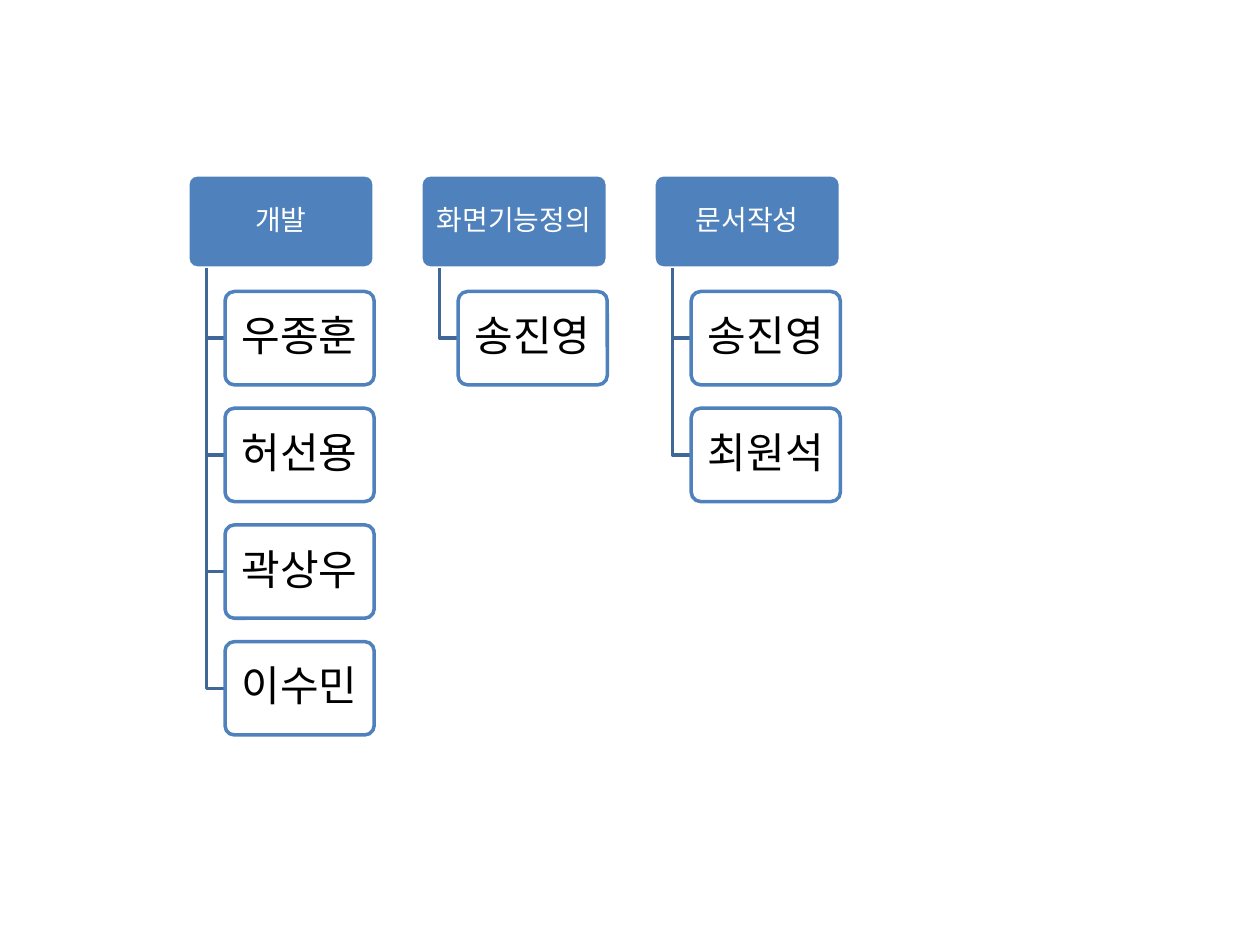
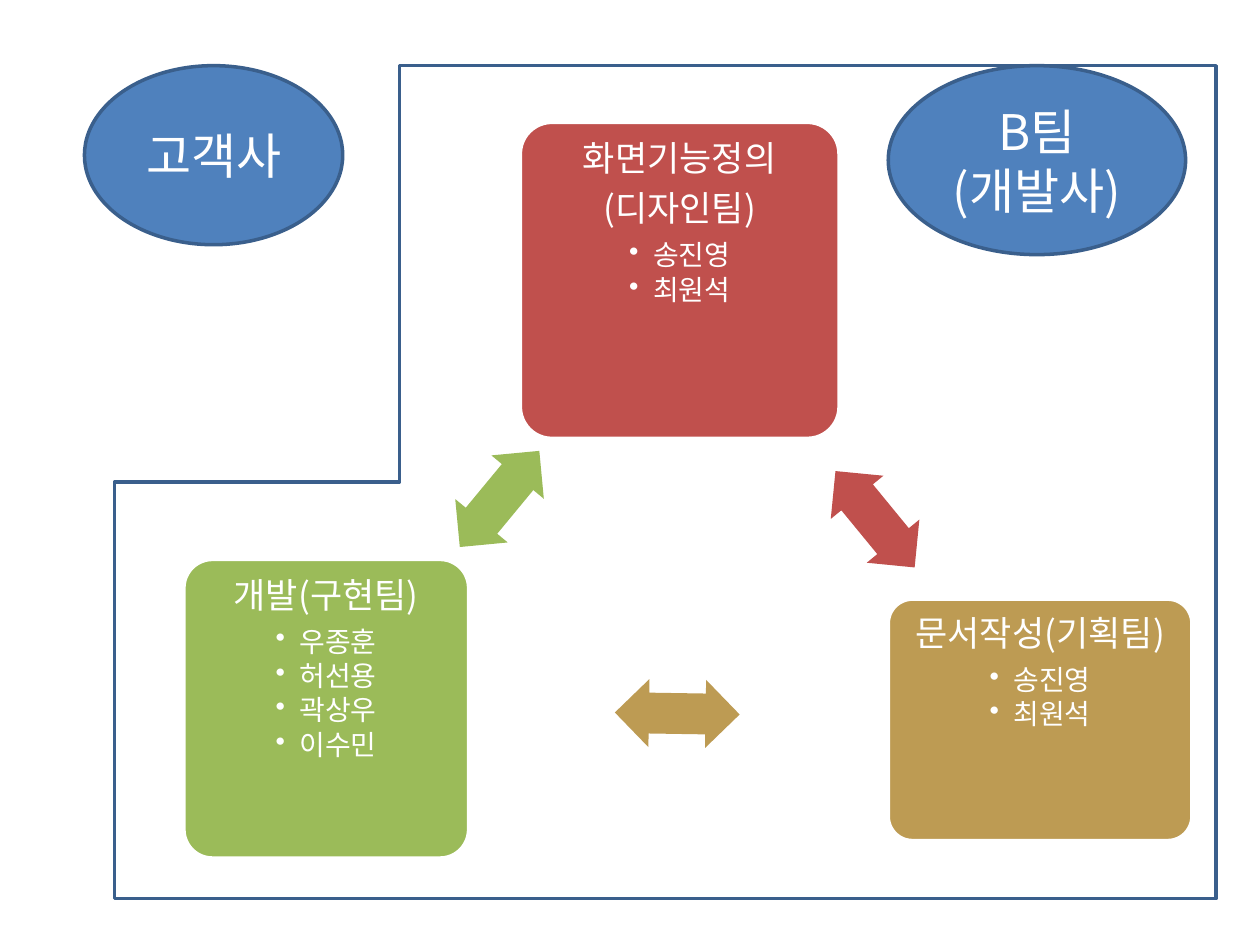
"""Build a team chart slide and a team collaboration slide."""
from dataclasses import dataclass

from lxml import etree
from pptx import Presentation
from pptx import util as u
from pptx.dml.color import RGBColor
from pptx.enum import shapes, text
from pptx.oxml.ns import qn

FONT = "Noto Sans CJK KR"
COLORS = {
    "white": "FFFFFF", "black": "000000", "blue": "4F81BD", "navy": "3A5F8C",
    "steel": "3F6797", "red": "C0504D", "gold": "BD9B53", "green": "9BBB59",
}
SHAPE = shapes.MSO_SHAPE
WIDTH, HEIGHT = u.Inches(10), u.Inches(7.5)
TREE_LEFT, TREE_TOP = 0.149 * WIDTH, 0.185 * HEIGHT
TREE_COL, TREE_ROW = 0.185 * WIDTH, 0.1235 * HEIGHT
HEADER_SHARE, MEMBER_SHARE, ROW_SHARE = 0.8, 0.64, 0.8
INDENT_SHARE = 0.16
MARGINS = ("margin_left", "margin_top", "margin_right", "margin_bottom")


@dataclass
class Box:
    left: float
    top: float
    width: float
    height: float


@dataclass
class Para:
    text: str
    size: int
    color: str = "white"
    after: float = 0.35
    spacing: float = 0.9
    bullet: bool = False


@dataclass
class Branch:
    title: str
    members: tuple[str, ...]


@dataclass
class Team:
    titles: tuple[str, ...]
    members: tuple[str, ...]
    color: str
    box: Box


@dataclass
class Arrow:
    left: float
    top: float
    turn: float
    color: str


@dataclass
class Party:
    lines: tuple[str, ...]
    box: Box


BRANCHES = (
    Branch("개발", ("우종훈", "허선용", "곽상우", "이수민")),
    Branch("화면기능정의", ("송진영",)),
    Branch("문서작성", ("송진영", "최원석")),
)
TEAMS = (
    Team(("화면기능정의", "(디자인팀)"), ("송진영", "최원석"), "red",
         Box(41.3, 12.95, 25.3, 33.45)),
    Team(("문서작성(기획팀)",), ("송진영", "최원석"), "gold",
         Box(70.5, 63.4, 24.1, 25.55)),
    Team(("개발(구현팀)",), ("우종훈", "허선용", "곽상우", "이수민"), "green",
         Box(14.6, 59.2, 22.6, 31.6)),
)
ARROWS = (
    Arrow(64.5, 51.35, 50.6, "red"),
    Arrow(48.8, 71.9, 180.9, "gold"),
    Arrow(34.7, 49.2, 309.6, "green"),
)
CLIENT = Party(("고객사",), Box(6.7, 6.95, 20.5, 18.95))
DEVELOPER = Party(("B팀", "(개발사)"), Box(70.5, 6.95, 23.6, 20))
FRAME = Box(9.1, 6.95, 87.4, 88.15)


def rgb(name: str) -> RGBColor:
    """Return a palette colour."""
    return RGBColor.from_string(COLORS[name])


def percent(box: Box) -> Box:
    """Turn columns and rows of a 100 by 100 grid into slide lengths."""
    col, row = WIDTH / 100, HEIGHT / 100
    return Box(box.left * col, box.top * row, box.width * col, box.height * row)


def paint(s, fill: str | None, line: str | None) -> None:
    """Set fill and outline, and remove the shadow."""
    s.shadow.inherit = False
    if fill:
        s.fill.solid()
        s.fill.fore_color.rgb = rgb(fill)
    else:
        s.fill.background()
    if line:
        s.line.color.rgb = rgb(line)
        s.line.width = u.Pt(2)
    else:
        s.line.fill.background()


def add_shape(slide, kind, box: Box, fill: str | None = None,
              line: str | None = None, adj: tuple[float, ...] = ()):
    """Add a painted preset shape."""
    lengths = (box.left, box.top, box.width, box.height)
    s = slide.shapes.add_shape(kind, *(round(v) for v in lengths))
    paint(s, fill, line)
    for i, value in enumerate(adj):
        s.adjustments[i] = value
    return s


def write(s, paras: list[Para], anchor=text.MSO_ANCHOR.MIDDLE,
          insets: tuple[float, ...] = (0.1, 0.05)) -> None:
    """Write centred paragraphs into a shape."""
    tf = s.text_frame
    frame = {"word_wrap": True, "vertical_anchor": anchor}
    frame |= {m: u.Inches(insets[i % 2]) for i, m in enumerate(MARGINS)}
    for name, value in frame.items():
        setattr(tf, name, value)
    for i, para in enumerate(paras):
        p = tf.add_paragraph() if i else tf.paragraphs[0]
        layout = {"alignment": text.PP_ALIGN.CENTER, "level": int(para.bullet),
                  "line_spacing": para.spacing,
                  "space_after": u.Pt(para.after * para.size)}
        for name, value in layout.items():
            setattr(p, name, value)
        if para.bullet:
            ppr = p._p.get_or_add_pPr()
            ppr.set("marL", str(u.Inches(0.19)))
            ppr.set("indent", str(-u.Inches(0.19)))
            etree.SubElement(ppr, qn("a:buChar"), char="•")
        r = p.add_run()
        r.text = para.text
        r.font.color.rgb = rgb(para.color)
        for name, value in {"size": u.Pt(para.size), "name": FONT}.items():
            setattr(r.font, name, value)
        etree.SubElement(r._r.get_or_add_rPr(), qn("a:ea"), typeface=FONT)


def add_elbow(slide, x: float, top: float, bottom: float, right: float) -> None:
    """Draw the bent line from a header to a member."""
    builder = slide.shapes.build_freeform(round(x), round(top))
    builder.add_line_segments(
        [(round(x), round(bottom)), (round(right), round(bottom))], close=False)
    paint(builder.convert_to_shape(), None, "steel")


def add_branch(slide, col: int, branch: Branch) -> None:
    """Draw a header with its members below."""
    left, height = TREE_LEFT + col * TREE_COL, ROW_SHARE * TREE_ROW
    header = Box(left, TREE_TOP, HEADER_SHARE * TREE_COL, height)
    indent = INDENT_SHARE * TREE_COL
    s = add_shape(slide, SHAPE.ROUNDED_RECTANGLE, header, "blue", "white", (0.1,))
    write(s, [Para(branch.title, 16)], insets=(0.03, 0.02))
    for row, name in enumerate(branch.members, 1):
        box = Box(left + indent, TREE_TOP + row * TREE_ROW,
                  MEMBER_SHARE * TREE_COL, height)
        add_elbow(slide, left + indent / 2, TREE_TOP + height,
                  box.top + height / 2, box.left)
        s = add_shape(slide, SHAPE.ROUNDED_RECTANGLE, box, "white", "blue", (0.1,))
        write(s, [Para(name, 24, "black")], insets=(0.05, 0.03))


def add_team(slide, team: Team) -> None:
    """Draw a team card with its bulleted members."""
    s = add_shape(slide, SHAPE.ROUNDED_RECTANGLE, percent(team.box),
                  team.color, "white", (0.1,))
    paras = [Para(title, 20) for title in team.titles]
    paras += [Para(name, 16, after=0.15, bullet=True) for name in team.members]
    write(s, paras, text.MSO_ANCHOR.TOP, (0.08, 0.08))


def add_arrow(slide, arrow: Arrow) -> None:
    """Draw a turned double arrow between teams."""
    box = percent(Box(arrow.left, arrow.top, 9.9, 7.2))
    s = add_shape(slide, SHAPE.LEFT_RIGHT_ARROW, box, arrow.color, adj=(0.6, 0.5))
    s.rotation = arrow.turn


def add_party(slide, party: Party) -> None:
    """Draw a company ellipse."""
    s = add_shape(slide, SHAPE.OVAL, percent(party.box), "blue", "navy")
    write(s, [Para(line, 28, after=0, spacing=1.0) for line in party.lines])


def add_frame(slide) -> None:
    """Draw the mirrored corner outline around the developer."""
    s = add_shape(slide, SHAPE.CORNER, percent(FRAME), None, "navy", (0.5, 0.98))
    s._element.spPr.find(qn("a:xfrm")).set("flipH", "1")


def main() -> None:
    """Build and save both slides."""
    prs = Presentation()
    prs.slide_width, prs.slide_height = WIDTH, HEIGHT
    tree, teamwork = (prs.slides.add_slide(prs.slide_layouts[6]) for _ in range(2))
    for col, branch in enumerate(BRANCHES):
        add_branch(tree, col, branch)
    for team, arrow in zip(TEAMS, ARROWS):
        add_team(teamwork, team)
        add_arrow(teamwork, arrow)
    add_party(teamwork, CLIENT)
    add_frame(teamwork)
    add_party(teamwork, DEVELOPER)
    prs.save("out.pptx")


main()
